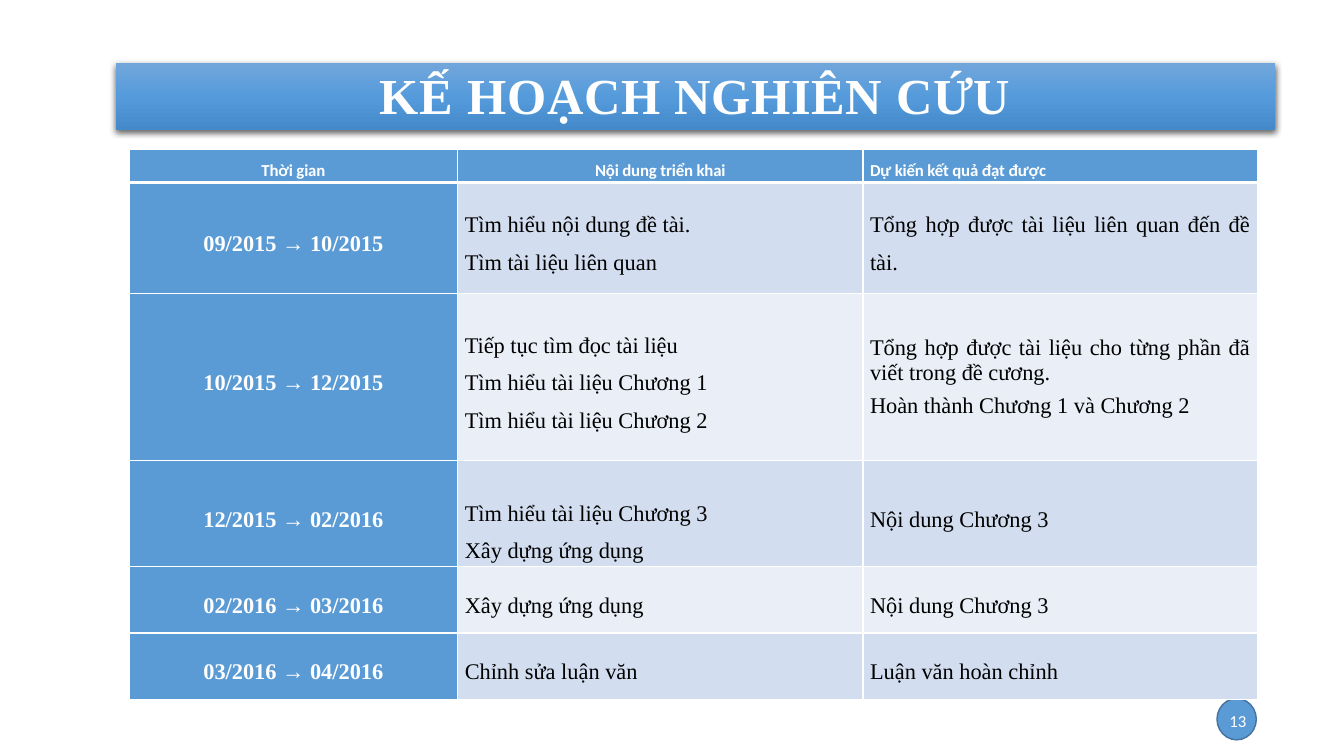
from copy import deepcopy

from lxml.etree import SubElement
from pptx import Presentation
from pptx.dml.color import RGBColor
from pptx.enum.shapes import MSO_SHAPE
from pptx.enum.text import MSO_ANCHOR, PP_ALIGN
from pptx.oxml import parse_xml
from pptx.oxml.ns import nsdecls, qn
from pptx.util import Inches, Pt

SERIF = "Times New Roman"
SANS = "Calibri"
BLUE = "5B9BD5"
WHITE = "FFFFFF"
BANDS = ("D2DEEF", "EAEFF7")
COLUMN_WIDTHS = (3.26, 4.02, 3.91)
ROW_HEIGHTS = (0.33, 1.1, 1.66, 0.99, 0.66, 0.66)
HEADERS = ("Thời gian", "Nội dung triển khai", "Dự kiến kết quả đạt được")
PLAN = (
    ("09/2015 → 10/2015",
     "Tìm hiểu nội dung đề tài.\nTìm tài liệu liên quan",
     "Tổng hợp được tài liệu liên quan đến đề tài."),
    ("10/2015 → 12/2015",
     "Tiếp tục tìm đọc tài liệu\nTìm hiểu tài liệu Chương 1\nTìm hiểu tài liệu Chương 2",
     "Tổng hợp được tài liệu cho từng phần đã viết trong đề cương.\n"
     "Hoàn thành Chương 1 và Chương 2"),
    ("12/2015 → 02/2016",
     "Tìm hiểu tài liệu Chương 3\nXây dựng ứng dụng",
     "Nội dung Chương 3"),
    ("02/2016 → 03/2016", "Xây dựng ứng dụng", "Nội dung Chương 3"),
    ("03/2016 → 04/2016", "Chỉnh sửa luận văn", "Luận văn hoàn chỉnh"),
)


def color(value):
    return RGBColor.from_string(value)


def line_xml(tag, value, width):
    return parse_xml(
        f'<a:{tag} {nsdecls("a")} w="{Pt(width)}"><a:solidFill>'
        f'<a:srgbClr val="{value}"/></a:solidFill></a:{tag}>')


def write(frame, text, size=16, font=SERIF, fill="000000", bold=False,
          align=PP_ALIGN.LEFT, line_spacing=1.0, space_before=0, tracking=0, outline=None):
    frame.word_wrap = True
    for index, line in enumerate(text.split("\n")):
        paragraph = frame.add_paragraph() if index else frame.paragraphs[0]
        paragraph.alignment = align
        paragraph.line_spacing = line_spacing
        paragraph.space_before = Pt(space_before)
        run = paragraph.add_run()
        run.text = line
        run.font.size = Pt(size)
        run.font.name = font
        run.font.bold = bold
        run.font.color.rgb = color(fill)
        properties = run.font._element
        if tracking:
            properties.set("spc", str(round(tracking * 100)))
        if outline:
            properties.insert(0, line_xml("ln", outline, 0.75))


def fill_gradient(shape, colors):
    shape.fill.gradient()
    shape.fill.gradient_angle = 270
    stops = shape.fill.gradient_stops
    stop_list = stops[0]._gs.getparent()
    stop_list.insert(1, deepcopy(stops[0]._gs))
    for index, (stop, value) in enumerate(zip(shape.fill.gradient_stops, colors)):
        stop.color.rgb = color(value)
        stop.position = index / (len(colors) - 1)


def add_shadow(shape):
    shape.shadow.inherit = False
    effects = shape._element.spPr.find(qn("a:effectLst"))
    shadow = SubElement(effects, qn("a:outerShdw"), blurRad=str(Pt(4.5)),
                        dist=str(Pt(1.5)), dir="5400000", rotWithShape="0")
    shadow_color = SubElement(shadow, qn("a:srgbClr"), val="000000")
    SubElement(shadow_color, qn("a:alpha"), val="63000")


def add_title(slide, left, top, width, height):
    banner = slide.shapes.add_shape(
        MSO_SHAPE.RECTANGLE, Inches(left), Inches(top), Inches(width), Inches(height))
    fill_gradient(banner, ("71A6DB", "559BDB", "448ACA"))
    banner.line.fill.background()
    add_shadow(banner)
    banner.text_frame.vertical_anchor = MSO_ANCHOR.BOTTOM
    write(banner.text_frame, "KẾ HOẠCH NGHIÊN CỨU", size=36, fill="FEFEFE", bold=True,
          align=PP_ALIGN.CENTER, line_spacing=0.9, tracking=0.5, outline=BLUE)


def style_cell(cell, fill, bottom_border=1):
    cell.vertical_anchor = MSO_ANCHOR.MIDDLE
    cell.margin_left = cell.margin_right = Inches(0.07)
    cell.margin_top = cell.margin_bottom = 0
    cell.fill.solid()
    cell.fill.fore_color.rgb = color(fill)
    borders = (("lnL", 1), ("lnR", 1), ("lnT", 1), ("lnB", bottom_border))
    for index, (tag, width) in enumerate(borders):
        cell._tc.tcPr.insert(index, line_xml(tag, WHITE, width))


def add_plan(slide, left, top):
    table = slide.shapes.add_table(
        len(ROW_HEIGHTS), len(COLUMN_WIDTHS), Inches(left), Inches(top),
        Inches(sum(COLUMN_WIDTHS)), Inches(sum(ROW_HEIGHTS))).table
    for column, width in zip(table.columns, COLUMN_WIDTHS):
        column.width = Inches(width)
    for row, height in zip(table.rows, ROW_HEIGHTS):
        row.height = Inches(height)

    header_aligns = (PP_ALIGN.CENTER, PP_ALIGN.CENTER, PP_ALIGN.LEFT)
    for cell, text, align in zip(table.rows[0].cells, HEADERS, header_aligns):
        style_cell(cell, BLUE, bottom_border=3)
        write(cell.text_frame, text, size=12, font=SANS, fill=WHITE, bold=True,
              align=align, line_spacing=1.5, tracking=-0.1)

    for index, texts in enumerate(PLAN):
        period, task, result = table.rows[index + 1].cells
        band = BANDS[index % 2]
        for cell, fill in ((period, BLUE), (task, band), (result, band)):
            style_cell(cell, fill)
        write(period.text_frame, texts[0], fill=WHITE, bold=True,
              align=PP_ALIGN.CENTER, line_spacing=1.5)
        write(task.text_frame, texts[1], line_spacing=1.5)
        several = "\n" in texts[2]
        write(result.text_frame, texts[2], align=PP_ALIGN.JUSTIFY,
              line_spacing=1.0 if several else 1.5, space_before=6 if several else 0)
    table.cell(3, 1).margin_top = Inches(0.25)


def add_page_number(slide, left, top, width, height):
    circle = slide.shapes.add_shape(
        MSO_SHAPE.OVAL, Inches(left), Inches(top), Inches(width), Inches(height))
    circle.shadow.inherit = False
    circle.fill.solid()
    circle.fill.fore_color.rgb = color(BLUE)
    circle.line.color.rgb = color("43739E")
    circle.line.width = Pt(1)
    label_width = 3
    label = slide.shapes.add_textbox(
        Inches(left + width - label_width), Inches(top + 0.02),
        Inches(label_width), Inches(0.4))
    label.text_frame.vertical_anchor = MSO_ANCHOR.MIDDLE
    write(label.text_frame, "13", size=12, font=SANS, fill=WHITE, align=PP_ALIGN.RIGHT)


presentation = Presentation()
presentation.slide_width = Inches(13.33)
presentation.slide_height = Inches(7.5)
plan_slide = presentation.slides.add_slide(presentation.slide_layouts[6])
add_page_number(plan_slide, 12.07, 6.93, 0.39, 0.41)
add_title(plan_slide, 1.15, 0.63, 11.5, 0.66)
add_plan(plan_slide, 1.28, 1.48)
presentation.save("out.pptx")
